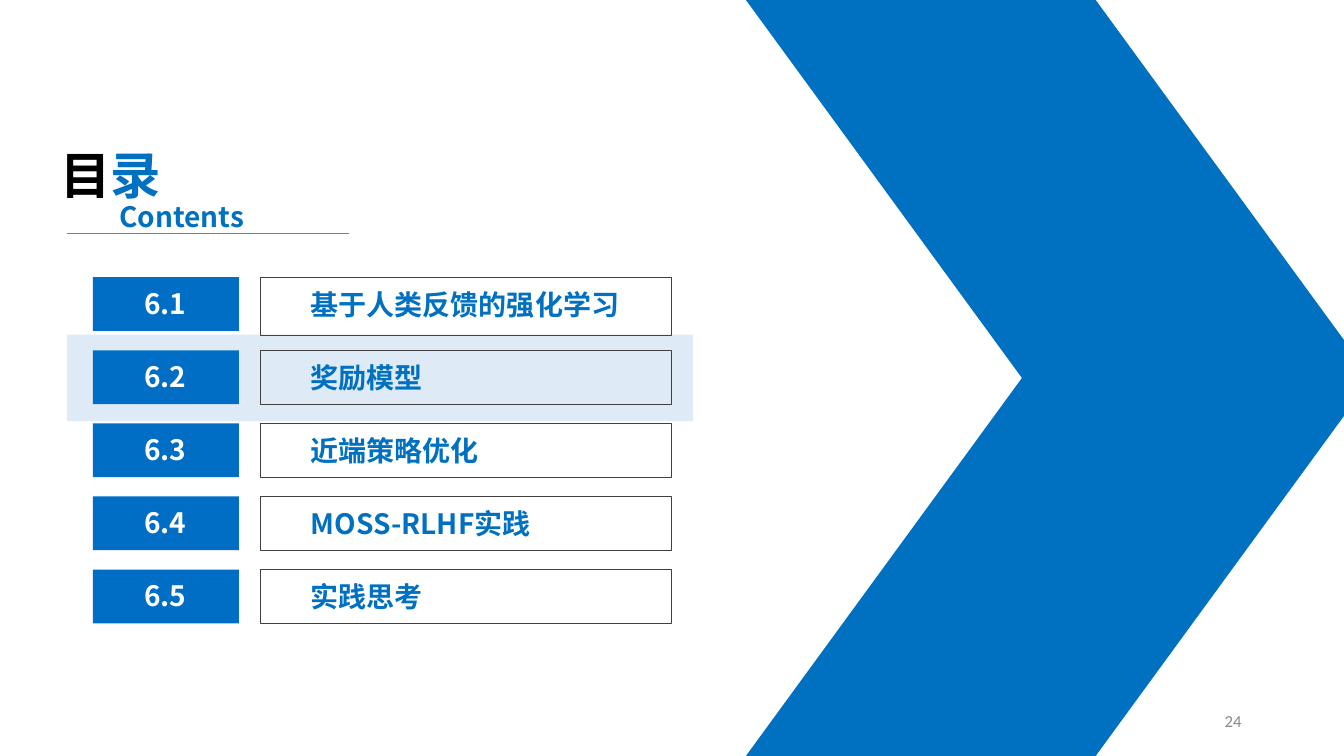
import pptx
import pptx.util
import pptx.dml.color
import pptx.enum.shapes
import pptx.enum.text
import pptx.oxml.ns
from lxml import etree

RGBColor = pptx.dml.color.RGBColor
SHAPE = pptx.enum.shapes.MSO_SHAPE
ALIGN = pptx.enum.text.PP_ALIGN
ANCHOR = pptx.enum.text.MSO_ANCHOR
FIT = pptx.enum.text.MSO_AUTO_SIZE
qn = pptx.oxml.ns.qn

BLUE = RGBColor(0x00, 0x70, 0xC0)
BADGE_BLUE = RGBColor(0x00, 0x6E, 0xC5)
PALE_BLUE = RGBColor(0xDE, 0xEB, 0xF7)
BLACK = RGBColor(0x00, 0x00, 0x00)
WHITE = RGBColor(0xFF, 0xFF, 0xFF)
FRAME_GREY = RGBColor(0x40, 0x40, 0x40)
RULE_GREY = RGBColor(0x7F, 0x7F, 0x7F)
NUMBER_GREY = RGBColor(0x89, 0x89, 0x89)

WIDTH, HEIGHT = pptx.util.Inches(13.33), pptx.util.Inches(7.5)
COLS, ROWS = 160, 90
CJK = "Noto Sans CJK SC"
HEADING = {"size": pptx.util.Pt(20), "bold": True, "name": CJK}
TITLE = {"size": pptx.util.Pt(36), "bold": True, "name": CJK}
PAGE = {"size": pptx.util.Pt(12), "name": "Calibri"}

TOPICS = ["基于人类反馈的强化学习", "奖励模型", "近端策略优化", "MOSS-RLHF实践", "实践思考"]
FIRST_ROW, PITCH, BAR_ROWS, TEXT_ROWS = 33, 8.7, 6.4, 5.3


def cell(col, row, cols, rows):
    return (round(WIDTH * col / COLS), round(HEIGHT * row / ROWS),
            round(WIDTH * cols / COLS), round(HEIGHT * rows / ROWS))


def add_box(s, box, fill=None, line=None, kind=SHAPE.RECTANGLE):
    sp = s.shapes.add_shape(kind, *cell(*box))
    sp.shadow.inherit = False
    if fill is None:
        sp.fill.background()
    else:
        sp.fill.solid()
        sp.fill.fore_color.rgb = fill
    if line is None:
        sp.line.fill.background()
    else:
        sp.line.color.rgb = line
        sp.line.width = pptx.util.Pt(0.75)
    return sp


def add_text(s, box, runs, style, align=ALIGN.LEFT, anchor=ANCHOR.TOP, fit=FIT.SHAPE_TO_FIT_TEXT):
    tf = s.shapes.add_textbox(*cell(*box)).text_frame
    for name, value in {"word_wrap": True, "auto_size": fit, "vertical_anchor": anchor}.items():
        setattr(tf, name, value)
    p = tf.paragraphs[0]
    p.alignment = align
    for text, color in runs:
        r = p.add_run()
        r.text = text
        for name, value in style.items():
            setattr(r.font, name, value)
        r.font.color.rgb = color
        ea = etree.SubElement(r.font._element, qn("a:ea"))
        ea.set("typeface", style["name"])


def add_rule(s, col, row, cols):
    x, y, w, _ = cell(col, row, cols, 0)
    line = s.shapes.add_connector(pptx.enum.shapes.MSO_CONNECTOR.STRAIGHT, x, y, x + w, y)
    line.line.color.rgb = RULE_GREY
    line.line.width = pptx.util.Pt(0.5)
    etree.SubElement(line._element.spPr, qn("a:effectLst"))


def add_chevron(s):
    for row, flipped in ((ROWS / 2, False), (0, True)):
        sp = add_box(s, (88.8, row, 74.5, ROWS / 2), BLUE, kind=SHAPE.PARALLELOGRAM)
        sp.adjustments[0] = 0.73
        if flipped:
            sp._element.spPr.xfrm.set("flipV", "1")


def add_topic(s, index, topic):
    row = FIRST_ROW + index * PITCH
    frame_rows = 7 if index == 0 else BAR_ROWS
    add_box(s, (31, row, 49, frame_rows), line=FRAME_GREY)
    add_text(s, (35.8, row + 0.6, 44.2, TEXT_ROWS), [(topic, BLUE)], HEADING)
    add_box(s, (11.05, row, 17.4, BAR_ROWS), BADGE_BLUE)
    add_text(s, (13.4, row + 0.5, 12.6, TEXT_ROWS), [(f"6.{index + 1}", WHITE)],
             HEADING, ALIGN.CENTER)


def add_title(s):
    add_text(s, (6, 16.6, 18.8, 8.5), [("目", BLACK), ("录", BLUE)], TITLE)
    add_rule(s, 8, 27.75, 33.5)
    add_text(s, (13, 23.2, 18.8, TEXT_ROWS), [("Contents", BLUE)], HEADING)


def main():
    prs = pptx.Presentation()
    prs.slide_width, prs.slide_height = WIDTH, HEIGHT
    s = prs.slides.add_slide(prs.slide_layouts[6])
    add_box(s, (8, 39.85, 74.5, 10.3), PALE_BLUE)
    add_chevron(s)
    for index, topic in enumerate(TOPICS):
        add_topic(s, index, topic)
    add_title(s)
    add_text(s, (113, 83.4, 36, 4.8), [("24", NUMBER_GREY)], PAGE,
             ALIGN.RIGHT, ANCHOR.MIDDLE, FIT.NONE)
    prs.save("out.pptx")


if __name__ == "__main__":
    main()
